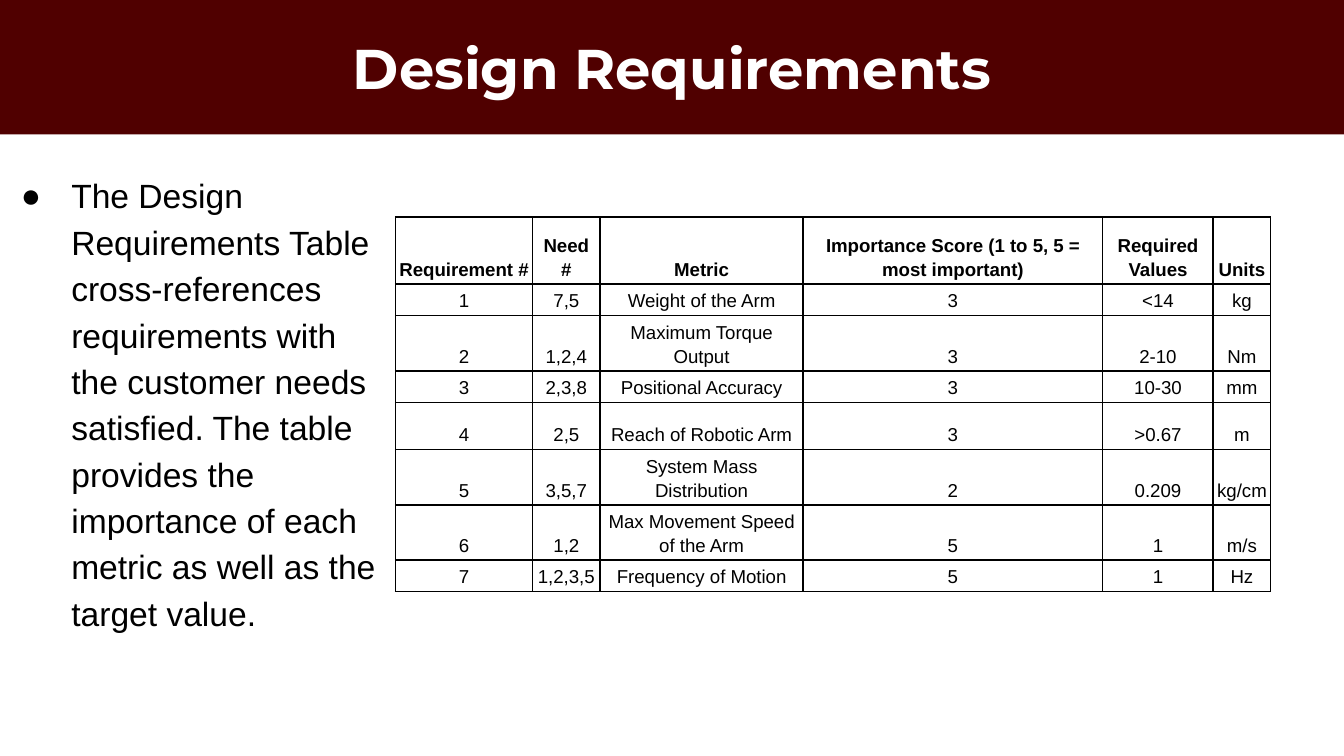
"""Build the Design Requirements slide: title band, bullet text and requirements table."""
from lxml import etree
from pptx import Presentation
from pptx.dml.color import RGBColor
from pptx.enum import text
from pptx.oxml import ns
from pptx.util import Pt


def color(hex_code):
    return RGBColor.from_string(hex_code)


def add_span(para, words, size, font, hex_code, bold=False):
    span = para.add_run()
    span.text = words
    span.font.size = Pt(size)
    span.font.name = font
    span.font.bold = bold
    span.font.color.rgb = color(hex_code)


deck = Presentation()
deck.slide_width, deck.slide_height = Pt(720), Pt(405)
page = deck.slides.add_slide(deck.slide_layouts[1])

title, body = page.placeholders
boxes = (
    (title, (0, 0, 720, 72), text.MSO_ANCHOR.MIDDLE),
    (body, (-5, 83.5, 216.7, 237.6), text.MSO_ANCHOR.TOP),
)
for box, place, anchor in boxes:
    box.left, box.top, box.width, box.height = map(Pt, place)
    frame = box.text_frame
    frame.word_wrap = True
    frame.auto_size = text.MSO_AUTO_SIZE.NONE
    frame.vertical_anchor = anchor
    frame.margin_left = frame.margin_right = Pt(7.2)
    frame.margin_top = frame.margin_bottom = Pt(7.2)

title.fill.solid()
title.fill.fore_color.rgb = color("500000")
para = title.text_frame.paragraphs[0]
para.alignment = text.PP_ALIGN.CENTER
add_span(para, "Design Requirements", 30, "Montserrat", "FFFFFF", True)

para = body.text_frame.paragraphs[0]
para.alignment = text.PP_ALIGN.LEFT
para.line_spacing = 1.15
para.space_before = Pt(0)
settings = para._p.get_or_add_pPr()
settings.set("marL", str(Pt(36)))
settings.set("indent", str(Pt(-27)))
bullet_color = etree.SubElement(settings, ns.qn("a:buClr"))
etree.SubElement(bullet_color, ns.qn("a:srgbClr"), val="000000")
etree.SubElement(settings, ns.qn("a:buFont"), typeface="Arial")
etree.SubElement(settings, ns.qn("a:buChar"), char="●")
add_span(
    para,
    "The Design Requirements Table cross-references requirements with the customer needs "
    "satisfied. The table provides the importance of each metric as well as the target value.",
    18, "Arial", "000000",
)

rows = (
    ("Requirement #", "Need #", "Metric", "Importance Score (1 to 5, 5 = most important)",
     "Required Values", "Units"),
    ("1", "7,5", "Weight of the Arm", "3", "<14", "kg"),
    ("2", "1,2,4", "Maximum Torque Output", "3", "2-10", "Nm"),
    ("3", "2,3,8", "Positional Accuracy", "3", "10-30", "mm"),
    ("4", "2,5", "Reach of Robotic Arm", "3", ">0.67", "m"),
    ("5", "3,5,7", "System Mass Distribution", "2", "0.209", "kg/cm"),
    ("6", "1,2", "Max Movement Speed of the Arm", "5", "1", "m/s"),
    ("7", "1,2,3,5", "Frequency of Motion", "5", "1", "Hz"),
)
widths = (73.4, 36.2, 108.7, 160.6, 59.2, 30.8)
heights = (36, 16, 25.2, 16, 25.2, 25.2, 25.2, 16)
table = page.shapes.add_table(
    len(rows), len(widths), Pt(211.9), Pt(116.2), Pt(sum(widths)), Pt(sum(heights))
).table
table.first_row = table.horz_banding = False
for column, width in zip(table.columns, widths):
    column.width = Pt(width)
for row, height in zip(table.rows, heights):
    row.height = Pt(height)

for row_index, row in enumerate(rows):
    for column_index, words in enumerate(row):
        cell = table.cell(row_index, column_index)
        cell.vertical_anchor = text.MSO_ANCHOR.BOTTOM
        cell.margin_left = cell.margin_right = Pt(2)
        cell.margin_top = cell.margin_bottom = Pt(2)
        for side in ("lnL", "lnR", "lnT", "lnB"):
            border = etree.SubElement(
                cell._tc.get_or_add_tcPr(), ns.qn(f"a:{side}"), w=str(Pt(0.9))
            )
            line_fill = etree.SubElement(border, ns.qn("a:solidFill"))
            etree.SubElement(line_fill, ns.qn("a:srgbClr"), val="000000")
        cell.fill.background()
        para = cell.text_frame.paragraphs[0]
        para.alignment = text.PP_ALIGN.CENTER
        para.line_spacing = 1.15
        add_span(para, words, 10, "Arial", "000000", row_index == 0)

deck.save("out.pptx")
